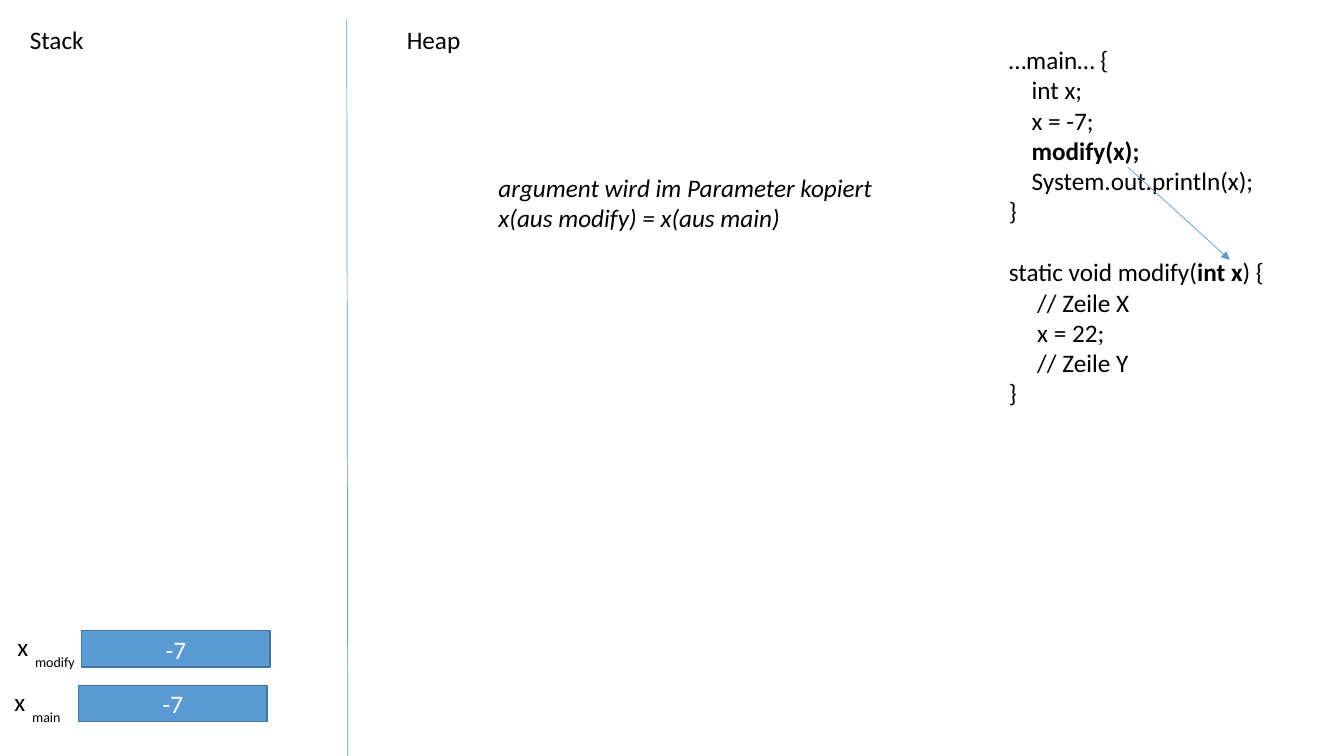
from lxml import etree
from pptx import Presentation
from pptx.dml.color import RGBColor
from pptx.enum.shapes import MSO_CONNECTOR, MSO_SHAPE
from pptx.enum.text import MSO_ANCHOR, MSO_AUTO_SIZE, PP_ALIGN
from pptx.oxml.ns import qn
from pptx.util import Pt

BLUE, DARK_BLUE = "5B9BD5", "43739E"
BLACK, WHITE = "000000", "FFFFFF"
LINE_HEIGHT = 22

# Each line of code: indent, space before, runs of (text, bold)
CODE = [
    (0, 0, [("…main… {", False)]),
    (16.3, 0, [("int x;", False)]),
    (16.3, 0, [("x = -7;", False)]),
    (16.3, 0, [("modify(x);", True)]),
    (16.3, 0, [("System.out.println(x);", False)]),
    (0, 0, [("}", False)]),
    (0, LINE_HEIGHT, [("static void modify(", False), ("int x", True), (") {", False)]),
    (20.3, 0, [("// Zeile X", False)]),
    (20.3, 0, [("x = 22;", False)]),
    (20.3, 0, [("// Zeile Y", False)]),
    (0, 0, [("}", False)]),
]


def color(fmt, value):
    """Set a fill or font colour from a hex string."""
    fmt.rgb = RGBColor.from_string(value)


def add_run(p, text, size=18, fill=BLACK, bold=False, italic=False):
    """Append one formatted run to a paragraph."""
    r = p.add_run()
    r.text = text
    f = r.font
    f.name, f.size, f.bold, f.italic = "Calibri", Pt(size), bold, italic
    color(f.color, fill)


def add_frame(s, x, y, w, h):
    """Add an empty, unwrapped text box and return its text frame."""
    tf = s.shapes.add_textbox(Pt(x), Pt(y), Pt(w), Pt(h)).text_frame
    tf.word_wrap = False
    tf.auto_size = MSO_AUTO_SIZE.SHAPE_TO_FIT_TEXT
    return tf


def next_paragraph(tf, index):
    """Return the first paragraph, or a new one for later lines."""
    return tf.add_paragraph() if index else tf.paragraphs[0]


def add_label(s, x, y, w, h, *lines, size=18, italic=False):
    """Add plain text, one paragraph per line."""
    tf = add_frame(s, x, y, w, h)
    for i, line in enumerate(lines):
        add_run(next_paragraph(tf, i), line, size, italic=italic)


def add_code(s, x, y, w, h, lines):
    """Add a code listing with indented lines."""
    tf = add_frame(s, x, y, w, h)
    for i, (indent, before, runs) in enumerate(lines):
        p = next_paragraph(tf, i)
        p.space_before = Pt(before)
        pr = p._p.get_or_add_pPr()
        pr.set("marL", str(Pt(indent)))
        pr.set("indent", "0")
        for text, bold in runs:
            add_run(p, text, bold=bold)


def add_line(s, x1, y1, x2, y2, arrow=False):
    """Add a thin blue line, with an arrowhead at its end if wanted."""
    line = s.shapes.add_connector(MSO_CONNECTOR.STRAIGHT, Pt(x1), Pt(y1), Pt(x2), Pt(y2))
    line.line.width = Pt(0.5)
    color(line.line.color, BLUE)
    if arrow:
        etree.SubElement(line.line._get_or_add_ln(), qn("a:tailEnd"), type="triangle")
    etree.SubElement(line._element.spPr, qn("a:effectLst"))


def add_variable(s, x, y, name, method, name_width, value):
    """Add a stack cell with its variable name and method subscript."""
    sp = s.shapes.add_shape(MSO_SHAPE.RECTANGLE, Pt(x), Pt(y), Pt(134.6), Pt(26))
    sp.shadow.inherit = False
    sp.fill.solid()
    color(sp.fill.fore_color, BLUE)
    sp.line.width = Pt(1)
    color(sp.line.color, DARK_BLUE)
    tf = sp.text_frame
    tf.vertical_anchor = MSO_ANCHOR.MIDDLE
    p = tf.paragraphs[0]
    p.alignment = PP_ALIGN.CENTER
    add_run(p, value, fill=WHITE)
    add_label(s, x - 53, y - 3, 22.5, 29, name)
    add_label(s, x - 40.3, y + 13, name_width, 19.4, method, size=10)


def main():
    """Build the slide and save it."""
    prs = Presentation()
    prs.slide_width, prs.slide_height = Pt(960), Pt(540)
    s = prs.slides.add_slide(prs.slide_layouts[6])

    add_line(s, 247.7, 13.7, 248.4, 540)
    add_label(s, 14.2, 13.7, 53.3, 29, "Stack")
    add_label(s, 283.5, 13.7, 53.3, 29, "Heap")
    add_code(s, 713.5, 28.2, 198, 269, CODE)
    add_variable(s, 56.2, 489.5, "x", "main", 35.3, "-7")
    add_line(s, 805.7, 119.5, 878.4, 185.6, arrow=True)
    add_variable(s, 58.3, 450.5, "x", "modify", 43.2, "-7")
    add_label(s, 349, 119.5, 283.7, 51, "argument wird im Parameter kopiert",
              "x(aus modify) = x(aus main)", italic=True)
    prs.save("out.pptx")


main()
